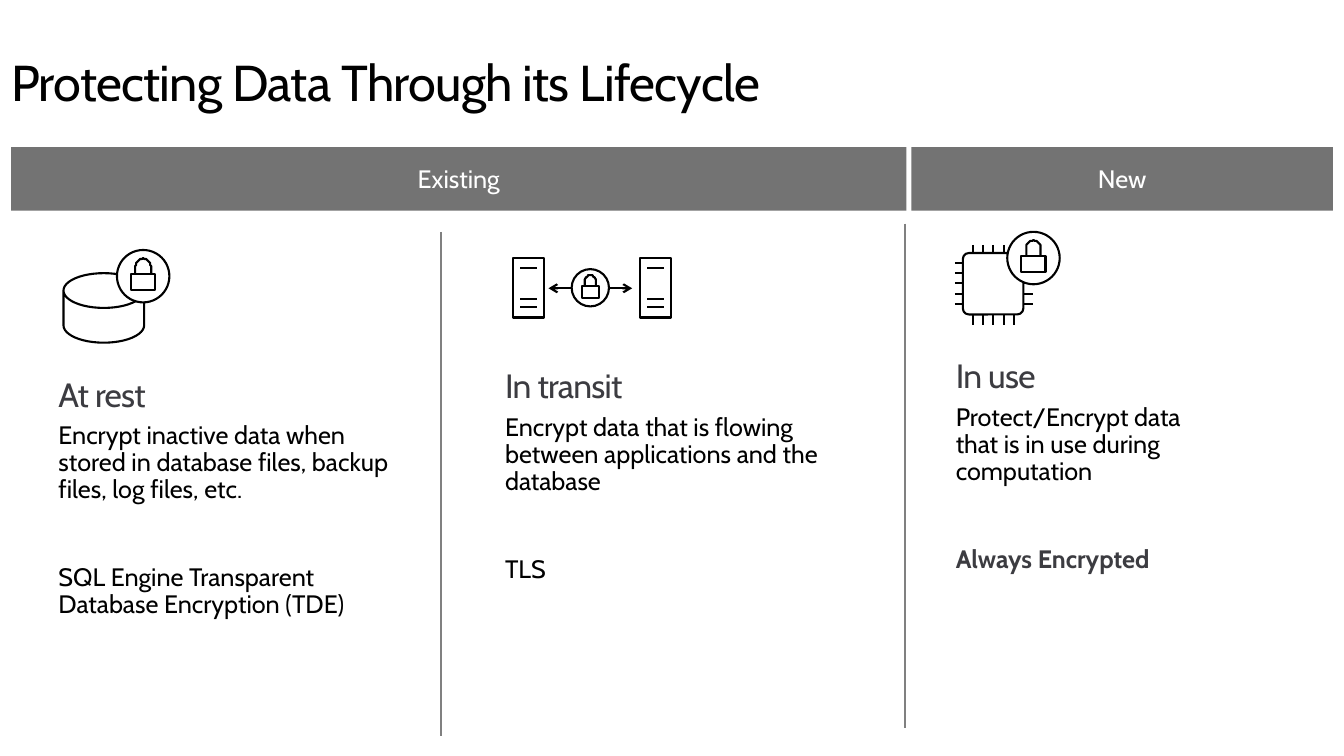
import math

from lxml import etree
from pptx import Presentation
from pptx import util as u
from pptx.dml.color import RGBColor
from pptx.enum import shapes, text
from pptx.oxml.ns import qn

PX = 9144  # 100 px to the inch
FONT = "Cabin"
BLACK, WHITE, SLATE, BAR, RULE = "000000", "FFFFFF", "3C3C41", "737373", "808080"

TITLE = ("Protecting Data Through its Lifecycle", (11, 51, 1205, 61))
HEADERS = [("Existing", (11, 146, 888, 63)), ("New", (904, 146, 418, 63))]
DIVIDERS = [(437, 230), (898, 222)]
DIVIDER_LENGTH = 500
STAGES = [
    ("At rest", "Encrypt inactive data when stored in database files, backup files, log files, etc.",
     "SQL Engine Transparent Database Encryption (TDE)", False, (38, 359, 369, 274)),
    ("In transit", "Encrypt data that is flowing between applications and the database",
     "TLS", False, (481, 351, 383, 247)),
    ("In use", "Protect/Encrypt data\vthat is in use during computation",
     "Always Encrypted", True, (928, 341, 363, 247)),
]
CYLINDER = (63, 271, 80, 69)
SERVERS = [(509, 256, 31, 59), (635, 256, 31, 59)]
CHIP = (955, 251, 60, 61)
PIN_OFFSETS = (10, 20, 30, 41, 51)
ARROW = (627, 286, 544, 286)
BADGES = {"rest": (116, 248, 52), "transit": (567, 267, 37), "use": (999, 230, 52)}

deck = Presentation()
deck.slide_width, deck.slide_height = u.Inches(13.33), u.Inches(7.5)
page = deck.slides.add_slide(deck.slide_layouts[6])


def color(value):
    return RGBColor.from_string(value)


def emu(lengths):
    return [round(length * PX) for length in lengths]


def style(shape, fill=None, line=BLACK):
    shape.shadow.inherit = False
    if fill:
        shape.fill.solid()
        shape.fill.fore_color.rgb = color(fill)
    else:
        shape.fill.background()
    if line:
        shape.line.color.rgb = color(line)
        shape.line.width = u.Pt(1.5)
    else:
        shape.line.fill.background()
    return shape


def add_preset(kind, area, fill=None, line=BLACK):
    return style(page.shapes.add_shape(kind, *emu(area)), fill, line)


def add_strokes(strokes):
    """Draw several open polylines as one unfilled outline."""
    builder = page.shapes.build_freeform(*strokes[0][0], scale=PX)
    for number, stroke in enumerate(strokes):
        if number:
            builder.move_to(*stroke[0])
        builder.add_line_segments(stroke[1:], close=False)
    return style(builder.convert_to_shape())


def add_line(ends, line, arrows=False):
    connector = page.shapes.add_connector(shapes.MSO_CONNECTOR.STRAIGHT, *emu(ends))
    connector.line.color.rgb = color(line)
    connector.line.width = u.Pt(1.5)
    properties = connector._element.spPr
    if arrows:
        for end in ("a:headEnd", "a:tailEnd"):
            etree.SubElement(properties.find(qn("a:ln")), qn(end), type="arrow")
    etree.SubElement(properties, qn("a:effectLst"))


def write(paragraph, words, size, ink, bold=False, spacing=0):
    paragraph.text = words
    font = paragraph.font
    font.name, font.size, font.bold = FONT, u.Pt(size), bold
    font.color.rgb = color(ink)
    if spacing:
        font._element.set("spc", str(round(spacing * 100)))


def set_margins(frame, across, down):
    frame.margin_left = frame.margin_right = across * PX
    frame.margin_top = frame.margin_bottom = down * PX
    frame.word_wrap = True


def add_stage(heading, description, method, bold, area):
    frame = page.shapes.add_textbox(*emu(area)).text_frame
    set_margins(frame, 20, 16)
    rows = [(heading, 24, SLATE, False, -0.5, 0), (description, 18, BLACK, False, 0, 0),
            (method, 18, SLATE if bold else BLACK, bold, 0, 37)]
    for number, (*look, before) in enumerate(rows):
        para = frame.add_paragraph() if number else frame.paragraphs[0]
        para.line_spacing = 0.9
        para.space_before, para.space_after = u.Pt(before), u.Pt(6)
        write(para, *look)


def add_lock_badge(left, top, size):
    unit = size / 52
    add_preset(shapes.MSO_SHAPE.OVAL, (left, top, size, size), WHITE)
    add_preset(shapes.MSO_SHAPE.RECTANGLE,
               (left + 14 * unit, top + 24 * unit, 24 * unit, 16 * unit))
    middle, radius = left + 26 * unit, 7.5 * unit
    base, bend = top + 24 * unit, top + 16 * unit
    angles = [math.pi * step / 16 for step in range(17)]
    arc = [(middle - radius * math.cos(angle), bend - radius * math.sin(angle))
           for angle in angles]
    add_strokes([[(middle - radius, base), *arc, (middle + radius, base)]])


def add_server(left, top, width, height):
    add_preset(shapes.MSO_SHAPE.RECTANGLE, (left, top, width, height))
    add_strokes([[(left + 7, top + drop), (left + width - 7, top + drop)]
                 for drop in (10, 41, 49)])


def add_chip(left, top, width, height):
    core = add_preset(shapes.MSO_SHAPE.ROUNDED_RECTANGLE, (left, top, width, height))
    core.adjustments[0] = 0.1
    right, bottom = left + width, top + height
    pins = []
    for offset in PIN_OFFSETS:
        x, y = left + offset, top + offset
        pins += [[(x, top - 8), (x, top)], [(x, bottom), (x, bottom + 10)],
                 [(left - 8, y), (left, y)], [(right, y), (right + 10, y)]]
    add_strokes(pins)


title_words, title_area = TITLE
title_frame = page.shapes.add_textbox(*emu(title_area)).text_frame
set_margins(title_frame, 0, 0)
write(title_frame.paragraphs[0], title_words, 36, BLACK, spacing=-0.5)

for x, y in DIVIDERS:
    add_line((x, y, x, y + DIVIDER_LENGTH), RULE)
for stage in STAGES:
    add_stage(*stage)

add_preset(shapes.MSO_SHAPE.CAN, CYLINDER).adjustments[0] = 0.54
for server in SERVERS:
    add_server(*server)
add_line(ARROW, BLACK, arrows=True)
add_chip(*CHIP)
for badge in BADGES.values():
    add_lock_badge(*badge)

for label, area in HEADERS:
    box = add_preset(shapes.MSO_SHAPE.RECTANGLE, area, BAR, None)
    set_margins(box.text_frame, 0, 5)
    box.text_frame.vertical_anchor = text.MSO_ANCHOR.MIDDLE
    para = box.text_frame.paragraphs[0]
    para.alignment = text.PP_ALIGN.CENTER
    write(para, label, 18, WHITE)

deck.save("out.pptx")
